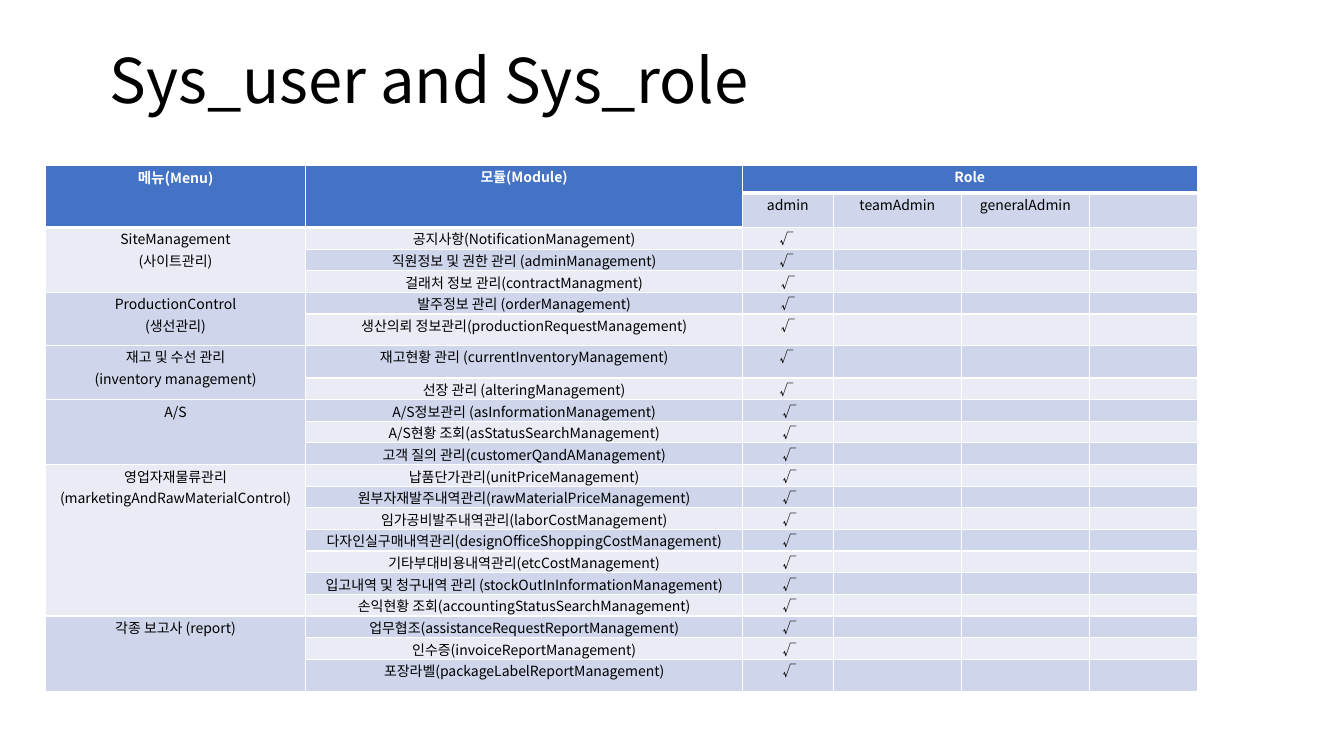
import pptx
import pptx.dml.color
import pptx.enum.text
import pptx.oxml
import pptx.oxml.ns
import pptx.util

Pt = pptx.util.Pt
RGBColor = pptx.dml.color.RGBColor
qn = pptx.oxml.ns.qn

WHITE = RGBColor(0xFF, 0xFF, 0xFF)
BLACK = RGBColor(0, 0, 0)
HEADER_BLUE = RGBColor(0x44, 0x72, 0xC4)
BANDS = (RGBColor(0xE9, 0xEB, 0xF5), RGBColor(0xCF, 0xD5, 0xEA))

COLUMN_WIDTHS = (186.25, 311.75, 65, 91.5, 91.5, 77)
LINE_HEIGHT = 15.47
ROW_HEIGHTS = (20, 24.5, *[LINE_HEIGHT] * 4, 22.5, 23.25, *[LINE_HEIGHT] * 13, 23.25)
ROLES = ("admin", "teamAdmin", "generalAdmin")
MENUS = (
    ("SiteManagement\n(사이트관리)", (
        ("공지사항(NotificationManagement)", "√ "),
        ("직원정보 및 권한 관리 (adminManagement)", "√ "),
        ("걸래처 정보 관리(contractManagment)", "√"))),
    ("ProductionControl\n(생선관리)", (
        ("발주정보 관리 (orderManagement)", "√"),
        ("생산의뢰 정보관리(productionRequestManagement)", "√"))),
    ("재고 및 수선 관리\n(inventory management)", (
        ("재고현황 관리 (currentInventoryManagement)", "√ "),
        ("선장 관리 (alteringManagement)", "√ "))),
    ("A/S", (
        ("A/S정보관리 (asInformationManagement)", " √"),
        ("A/S현황 조회(asStatusSearchManagement)", " √"),
        ("고객 질의 관리(customerQandAManagement)", " √"))),
    ("영업자재물류관리\n(marketingAndRawMaterialControl)", (
        ("납품단가관리(unitPriceManagement)", " √"),
        ("원부자재발주내역관리(rawMaterialPriceManagement)", " √"),
        ("임가공비발주내역관리(laborCostManagement)", " √"),
        ("다자인실구매내역관리(designOfficeShoppingCostManagement)", " √"),
        ("기타부대비용내역관리(etcCostManagement)", " √"),
        ("입고내역 및 청구내역 관리 (stockOutInInformationManagement)", " √"),
        ("손익현황 조회(accountingStatusSearchManagement)", " √"))),
    ("각종 보고사 (report)", (
        ("업무협조(assistanceRequestReportManagement)", " √"),
        ("인수증(invoiceReportManagement)", " √"),
        ("포장라벨(packageLabelReportManagement)", " √"))),
)


class RoleSlide:
    font = "Noto Sans CJK KR"
    cell_size = 10

    def __init__(self, deck):
        self.slide = deck.slides.add_slide(deck.slide_layouts[6])

    def format_run(self, run, size, color, bold=False):
        run.font.size = Pt(size)
        run.font.name = self.font
        run.font.color.rgb = color
        run.font.bold = bold
        east_asian = pptx.oxml.parse_xml(
            f'<a:ea {pptx.oxml.ns.nsdecls("a")} typeface="{self.font}"/>')
        run.font._element.find(qn("a:latin")).addnext(east_asian)

    def title(self, text, left, top, width, height):
        frame = self.slide.shapes.add_textbox(
            Pt(left), Pt(top), Pt(width), Pt(height)).text_frame
        frame.word_wrap = True
        frame.vertical_anchor = pptx.enum.text.MSO_ANCHOR.MIDDLE
        frame.text = text
        frame.paragraphs[0].line_spacing = 0.9
        self.format_run(frame.paragraphs[0].runs[0], 44, BLACK)

    def table(self, left, top, widths, heights):
        grid = self.slide.shapes.add_table(
            len(heights), len(widths), Pt(left), Pt(top),
            Pt(sum(widths)), Pt(sum(heights))).table
        for column, width in zip(grid.columns, widths):
            column.width = Pt(width)
        for row, height in zip(grid.rows, heights):
            row.height = Pt(height)
        return grid

    def cell_style(self, cell, fill, bottom=1):
        """Set margins, fill and white borders, and keep an empty cell low."""
        cell.margin_left = cell.margin_right = Pt(4.5)
        cell.margin_top = cell.margin_bottom = 0
        cell.fill.solid()
        cell.fill.fore_color.rgb = fill
        properties = cell._tc.get_or_add_tcPr()
        for place, side in enumerate("LRTB"):
            width = Pt(bottom if side == "B" else 1)
            properties.insert(place, pptx.oxml.parse_xml(
                f'<a:ln{side} {pptx.oxml.ns.nsdecls("a")} w="{width}"><a:solidFill>'
                f'<a:srgbClr val="{WHITE}"/></a:solidFill></a:ln{side}>'))
        cell.text_frame.paragraphs[0]._p.append(pptx.oxml.parse_xml(
            f'<a:endParaRPr {pptx.oxml.ns.nsdecls("a")} sz="{self.cell_size * 100}"/>'))

    def cell_text(self, cell, text, color=BLACK, bold=False):
        cell.text_frame.text = text
        for paragraph in cell.text_frame.paragraphs:
            paragraph.alignment = pptx.enum.text.PP_ALIGN.CENTER
            paragraph.line_spacing = 1.07
            for run in paragraph.runs:
                self.format_run(run, self.cell_size, color, bold)


def main():
    deck = pptx.Presentation()
    deck.slide_width, deck.slide_height = Pt(960), Pt(540)
    page = RoleSlide(deck)
    page.title("Sys_user and Sys_role", 71.5, 28, 828, 63.5)
    grid = page.table(32.25, 118, COLUMN_WIDTHS, ROW_HEIGHTS)

    for row in range(len(ROW_HEIGHTS)):
        for column in range(len(COLUMN_WIDTHS)):
            header = row == 0 or (row == 1 and column < 2)
            page.cell_style(grid.cell(row, column),
                            HEADER_BLUE if header else BANDS[row % 2],
                            3 if header else 1)

    grid.cell(0, 0).merge(grid.cell(1, 0))
    grid.cell(0, 1).merge(grid.cell(1, 1))
    grid.cell(0, 2).merge(grid.cell(0, 5))
    for column, heading in enumerate(("메뉴(", "모듈(Module)", "Role")):
        page.cell_text(grid.cell(0, column), heading, WHITE, True)
    menu_heading = grid.cell(0, 0).text_frame.paragraphs[0]
    menu_heading.runs[0].font.size = Pt(10.5)
    menu_english = menu_heading.add_run()
    menu_english.text = "Menu)"
    page.format_run(menu_english, page.cell_size, WHITE, True)
    for column, role in enumerate(ROLES, 2):
        page.cell_text(grid.cell(1, column), role)

    row = 2
    for menu, modules in MENUS:
        grid.cell(row, 0).merge(grid.cell(row + len(modules) - 1, 0))
        page.cell_text(grid.cell(row, 0), menu)
        for module, mark in modules:
            page.cell_text(grid.cell(row, 1), module)
            page.cell_text(grid.cell(row, 2), mark)
            row += 1

    deck.save("out.pptx")


if __name__ == "__main__":
    main()
